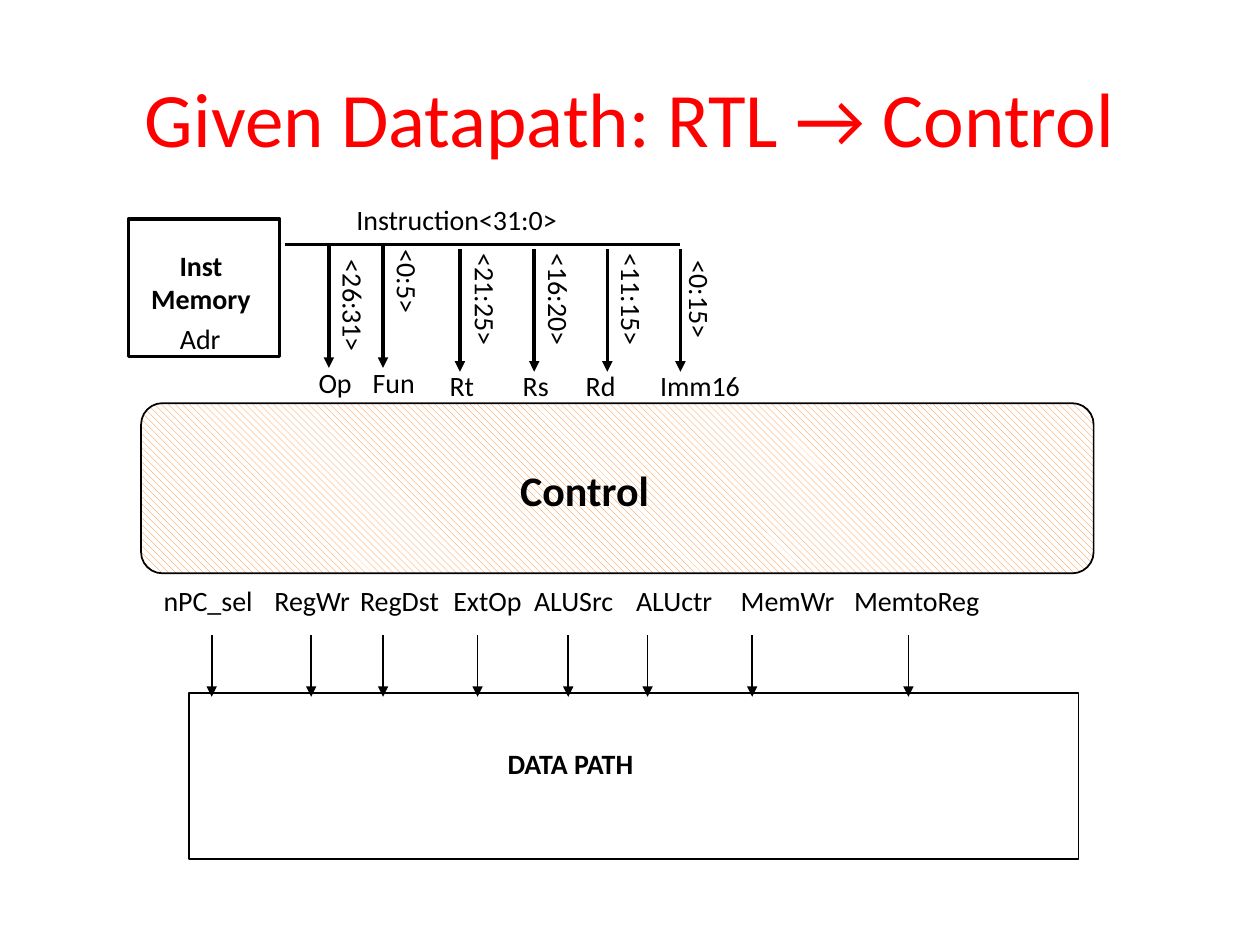
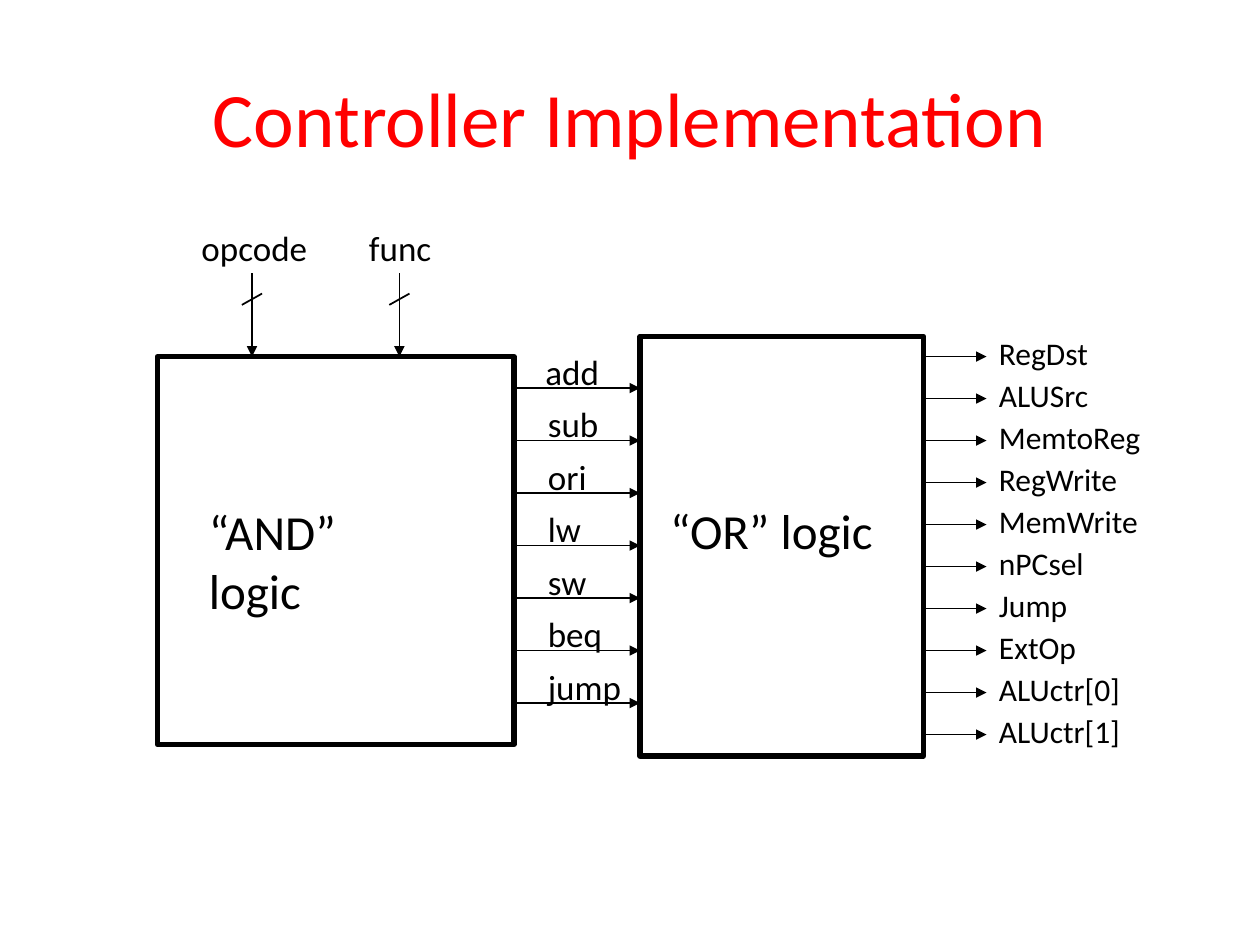
from lxml import etree
from pptx import Presentation
from pptx.dml.color import RGBColor
from pptx.enum.dml import MSO_PATTERN
from pptx.enum.shapes import MSO_CONNECTOR, MSO_SHAPE
from pptx.enum.text import MSO_ANCHOR, PP_ALIGN
from pptx.oxml.ns import qn
from pptx.util import Inches, Pt

RECTANGLE, ROUNDED = MSO_SHAPE.RECTANGLE, MSO_SHAPE.ROUNDED_RECTANGLE
STRAIGHT = MSO_CONNECTOR.STRAIGHT
HATCH = MSO_PATTERN.WIDE_DOWNWARD_DIAGONAL
LEFT, CENTER = PP_ALIGN.LEFT, PP_ALIGN.CENTER
TOP, MIDDLE = MSO_ANCHOR.TOP, MSO_ANCHOR.MIDDLE

WIDTH, HEIGHT = 10, 7.5
FONT = "Calibri"
COLORS = {"title": "FF0000", "ink": "000000", "hatch": "FF8119", "paper": "FFFFFF"}

DATAPATH_TITLE = "Given Datapath: RTL → Control"
# name, name left, name width, arrow x, arrow top, bits, bits centre, bits width
FIELDS = [
    ("Op", 2.43, 0.47, 2.61, 1.95, "<26:31>", (2.81, 2.44), 0.95),
    ("Fun", 2.86, 0.54, 3.04, 1.95, "<0:5>", (3.24, 2.25), 0.73),
    ("Rt", 3.47, 0.41, 3.65, 1.98, "<21:25>", (3.86, 2.39), 0.95),
    ("Rs", 4.05, 0.41, 4.24, 1.98, "<16:20>", (4.44, 2.39), 0.95),
    ("Rd", 4.55, 0.46, 4.82, 1.98, "<11:15>", (5.02, 2.39), 0.95),
    ("Imm16", 5.14, 0.84, 5.40, 1.98, "<0:15>", (5.56, 2.39), 0.84),
]
# name, name left, name width, arrow x
SIGNALS = [
    ("nPC_sel", 1.20, 0.94, 1.68),
    ("RegWr", 2.08, 0.81, 2.47),
    ("RegDst", 2.76, 0.86, 3.04),
    ("ExtOp", 3.50, 0.78, 3.79),
    ("ALUSrc", 4.14, 0.85, 4.51),
    ("ALUctr", 4.95, 0.91, 5.14),
    ("MemWr", 5.78, 0.95, 5.97),
    ("MemtoReg", 6.68, 1.20, 7.21),
]

CONTROLLER_TITLE = "Controller Implementation"
INPUTS = [("opcode", 1.5, 1.05, 2.0), ("func", 2.83, 0.73, 3.17)]
INSTRUCTIONS = [("add", 0.63), ("sub", 0.61), ("ori", 0.51), ("lw", 0.47),
                ("sw", 0.51), ("beq", 0.64), ("jump", 0.80)]
OUTPUTS = [("RegDst", 0.92), ("ALUSrc", 0.92), ("MemtoReg", 1.34),
           ("RegWrite", 1.15), ("MemWrite", 1.34), ("nPCsel", 0.88),
           ("Jump", 0.75), ("ExtOp", 0.82), ("ALUctr[0]", 1.17), ("ALUctr[1]", 1.17)]
INSTRUCTION_TOP, INSTRUCTION_STEP = 3.08, 5 / 12
OUTPUT_TOP, OUTPUT_STEP = 2.83, 1 / 3
AND_BOX = (1.25, 2.83, 2.83, 3.08)
OR_BOX = (5.08, 2.67, 2.25, 3.33)


def color(name):
    return RGBColor.from_string(COLORS[name])


def add_label(page, words, left, top, width, height=0.36, size=16, bold=False,
              ink="ink", align=LEFT, anchor=TOP, wrap=False, turn=0):
    box = page.shapes.add_textbox(*map(Inches, (left, top, width, height)))
    box.rotation = turn
    frame = box.text_frame
    frame.word_wrap = wrap
    frame.vertical_anchor = anchor
    for index, line in enumerate(words.split("\n")):
        para = frame.add_paragraph() if index else frame.paragraphs[0]
        para.alignment = align
        span = para.add_run()
        span.text = line
        span.font.name, span.font.size, span.font.bold = FONT, Pt(size), bold
        span.font.color.rgb = color(ink)


def add_line(page, start, end, weight=1, arrow=True):
    line = page.shapes.add_connector(STRAIGHT, *map(Inches, (*start, *end)))
    line.line.width = Pt(weight)
    line.line.color.rgb = color("ink")
    if arrow:
        etree.SubElement(line.line._get_or_add_ln(), qn("a:tailEnd"), type="triangle")
    etree.SubElement(line._element.spPr, qn("a:effectLst"))


def add_block(page, area, weight, kind=RECTANGLE):
    block = page.shapes.add_shape(kind, *map(Inches, area))
    block.shadow.inherit = False
    block.fill.background()
    block.line.color.rgb = color("ink")
    block.line.width = Pt(weight)
    return block


def add_page(deck, title):
    page = deck.slides.add_slide(deck.slide_layouts[6])
    add_label(page, title, WIDTH * 0.05, HEIGHT * 0.04, WIDTH * 0.9, 1.25, size=44,
              ink="title", align=CENTER, anchor=MIDDLE, wrap=True)
    return page


def build_datapath(deck):
    page = add_page(deck, DATAPATH_TITLE)
    add_block(page, (1.02, 1.74, 1.2, 1.09), 2)
    add_label(page, "Inst\nMemory", 1.09, 1.92, 1.01, 0.63, bold=True, align=CENTER)
    add_label(page, "Adr", 1.33, 2.5, 0.54)
    add_line(page, (2.26, 1.94), (5.4, 1.94), 2, arrow=False)
    add_label(page, "Instruction<31:0>", 2.73, 1.56, 1.81)

    control = add_block(page, (1.12, 3.2, 7.56, 1.35), 1, ROUNDED)
    control.adjustments[0] = 0.125
    control.fill.patterned()
    control.fill.pattern = HATCH
    control.fill.fore_color.rgb = color("hatch")
    control.fill.back_color.rgb = color("paper")
    add_label(page, "Control", 4.03, 3.64, 1.23, 0.5, size=24, bold=True)

    for name, left, width, x, top, bits, (middle_x, middle_y), span_width in FIELDS:
        add_line(page, (x, top), (x, top + 0.97), 2)
        add_label(page, name, left, top + 0.9, width)
        add_label(page, bits, middle_x - span_width / 2, middle_y - 0.18,
                  span_width, turn=90)

    add_block(page, (1.5, 5.5, 7.06, 1.32), 1)
    add_label(page, "DATA PATH", 3.93, 5.88, 1.21, bold=True)
    for name, left, width, x in SIGNALS:
        add_label(page, name, left, 4.58, width)
        add_line(page, (x, 5.04), (x, 5.53))


def build_controller(deck):
    page = add_page(deck, CONTROLLER_TITLE)
    add_block(page, AND_BOX, 3)
    add_block(page, OR_BOX, 3)
    add_label(page, "“AND” logic", 1.56, 3.93, 1.8, 1.04, size=28, wrap=True)
    add_label(page, "“OR” logic", 5.22, 3.92, 1.83, 0.57, size=28)

    for name, left, width, x in INPUTS:
        add_label(page, name, left, 1.75, width, 0.44, size=20)
        add_line(page, (x, 2.17), (x, AND_BOX[1]))
        add_line(page, (x - 0.08, 2.42), (x + 0.08, 2.33), arrow=False)

    and_right, or_right = AND_BOX[0] + AND_BOX[2], OR_BOX[0] + OR_BOX[2]
    for row, (name, width) in enumerate(INSTRUCTIONS):
        y = INSTRUCTION_TOP + row * INSTRUCTION_STEP
        add_line(page, (and_right, y), (OR_BOX[0], y))
        add_label(page, name, 4.25 if row else 4.23, y - 0.35, width, 0.44, size=20)

    for row, (name, width) in enumerate(OUTPUTS):
        y = OUTPUT_TOP + row * OUTPUT_STEP
        add_line(page, (or_right, y), (or_right + 0.5, y))
        add_label(page, name, or_right + 0.5, y - 0.23, width, 0.4, size=18)


def main():
    """Build the two slides on datapath control and controller logic."""
    deck = Presentation()
    deck.slide_width, deck.slide_height = Inches(WIDTH), Inches(HEIGHT)
    build_datapath(deck)
    build_controller(deck)
    deck.save("out.pptx")


if __name__ == "__main__":
    main()
